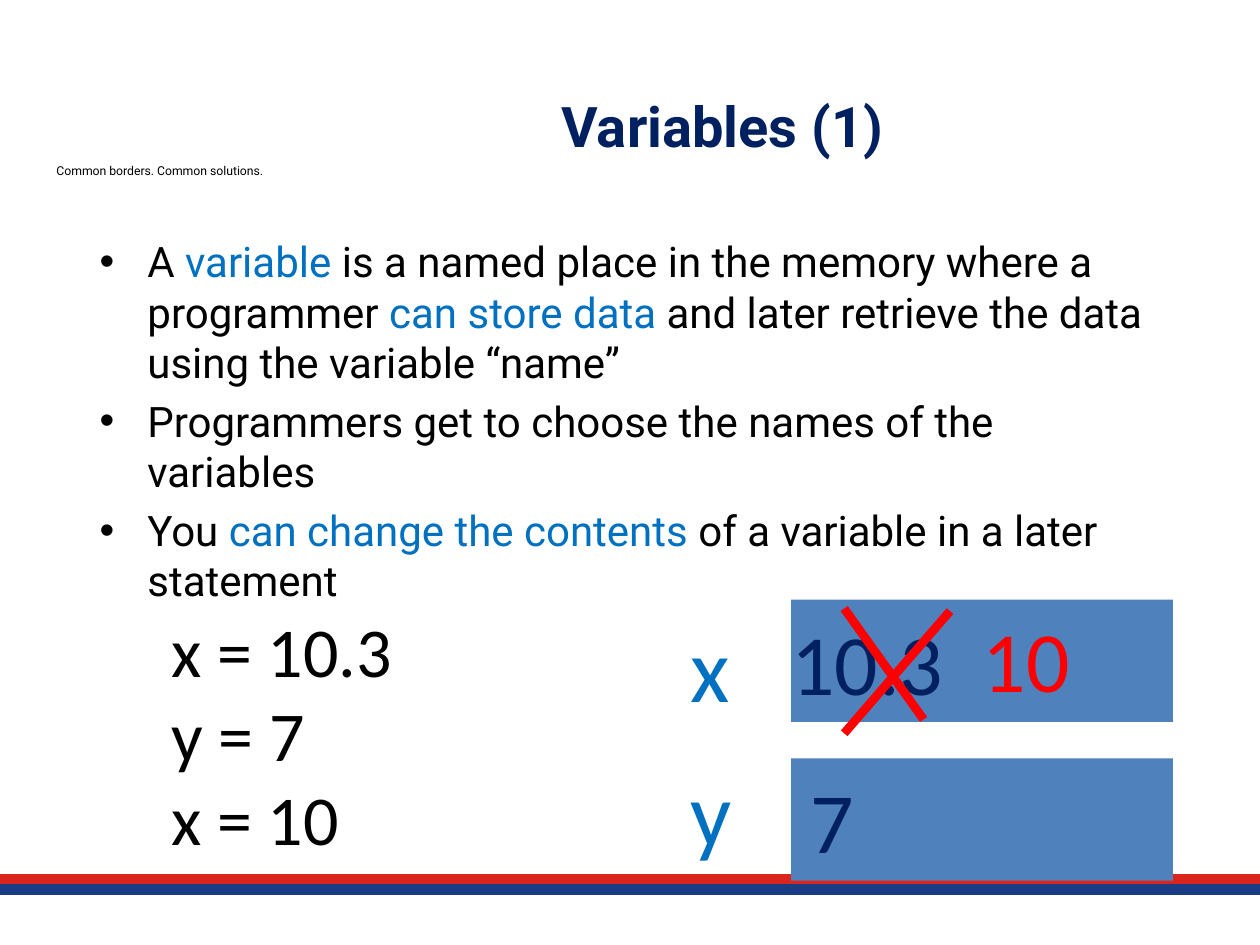
from dataclasses import dataclass

from pptx import Presentation, util as u
from pptx.dml import color
from pptx.enum import shapes, text
from pptx.oxml import ns, xmlchemy

NAVY, BLUE, BLACK, RED = "002060", "0070C0", "000000", "FF0000"
NO_INSETS = dict(margin_left=0, margin_right=0, margin_top=0, margin_bottom=0,
                 vertical_anchor=text.MSO_ANCHOR.MIDDLE)


@dataclass
class Line:
    start: tuple[float, float]
    end: tuple[float, float]
    hue: str
    width: float


@dataclass
class Label:
    lines: list[str]
    box: tuple[float, float, float, float]
    size: float
    hue: str
    font: str = "Calibri"
    wrap: bool = True
    inset: bool = False


@dataclass
class MemoryCell:
    value: str
    top: float
    indent: float


BORDERS = [Line((0, 6.98), (10, 6.98), "DA251D", 6),
           Line((0, 7.06), (10, 7.06), "193C85", 6)]
CROSS = [Line((7.54, 4.85), (6.7, 5.82), RED, 5),
         Line((6.7, 4.83), (7.33, 5.71), RED, 5)]
TAGLINE = Label(["Common borders. Common solutions."], (0.35, 1.25, 2.13, 0.22),
                7, BLACK, "Roboto", inset=True)
NAMES = [Label(["x"], (5.48, 4.85, 0.32, 0.88), 52, BLUE),
         Label(["y"], (5.48, 5.99, 0.29, 0.88), 52, BLUE)]
CODE = Label(["x = 10.3", "y = 7", "x = 10"], (1.36, 4.81, 1.77, 2.02),
             40, BLACK, wrap=False)
NEW_VALUE = Label(["10"], (7.8, 4.81, 0.7, 0.82), 49, RED, wrap=False)
CELLS = [MemoryCell("10.3", 4.76, 0), MemoryCell("7", 6.02, 0.15)]
BULLETS = [
    [("A ", BLACK), ("variable", BLUE),
     (" is a named place in the memory where a programmer ", BLACK),
     ("can store data ", BLUE),
     ("and later retrieve the data using the variable “name”", BLACK)],
    [("Programmers get to choose the names of the variables", BLACK)],
    [("You ", BLACK), ("can change the contents ", BLUE),
     ("of a variable in a later statement", BLACK)],
]


def rgb(value: str) -> color.RGBColor:
    return color.RGBColor.from_string(value)


def apply(target, values: dict) -> None:
    for name, value in values.items():
        setattr(target, name, value)


def place(s, box: tuple) -> None:
    names = ("left", "top", "width", "height")
    apply(s, dict(zip(names, map(u.Inches, box))))


def add_run(p, words: str, size: float, hue: str, font: str, bold: bool = False) -> None:
    r = p.add_run()
    r.text = words
    apply(r.font, dict(size=u.Pt(size), name=font, bold=bold))
    r.font.color.rgb = rgb(hue)


def add_line(s, line: Line) -> None:
    ends = map(u.Inches, line.start + line.end)
    c = s.shapes.add_connector(shapes.MSO_CONNECTOR.STRAIGHT, *ends)
    c.line.color.rgb = rgb(line.hue)
    c.line.width = u.Pt(line.width)
    c._element.spPr.append(xmlchemy.OxmlElement("a:effectLst"))


def add_label(s, label: Label) -> None:
    sp = s.shapes.add_textbox(*map(u.Inches, label.box))
    tf = sp.text_frame
    apply(tf, dict(word_wrap=label.wrap, auto_size=text.MSO_AUTO_SIZE.SHAPE_TO_FIT_TEXT))
    if not label.inset:
        apply(tf, NO_INSETS)
    for i, words in enumerate(label.lines):
        p = tf.add_paragraph() if i else tf.paragraphs[0]
        add_run(p, words, label.size, label.hue, label.font)


def add_cell(s, cell: MemoryCell) -> None:
    box = map(u.Inches, (6.28, cell.top, 3.03, 0.97))
    sp = s.shapes.add_shape(shapes.MSO_SHAPE.RECTANGLE, *box)
    sp.shadow.inherit = False
    sp.fill.solid()
    sp.fill.fore_color.rgb = rgb("4F81BD")
    sp.line.fill.background()
    apply(sp.text_frame, NO_INSETS | dict(margin_left=u.Inches(cell.indent), word_wrap=True))
    p = sp.text_frame.paragraphs[0]
    p.alignment = text.PP_ALIGN.LEFT
    add_run(p, cell.value, 49, NAVY, "Calibri")


def add_bullets(sp) -> None:
    tf = sp.text_frame
    tf.auto_size = text.MSO_AUTO_SIZE.NONE
    for i, parts in enumerate(BULLETS):
        p = tf.add_paragraph() if i else tf.paragraphs[0]
        pPr = p._p.get_or_add_pPr()
        pPr.set("marL", str(u.Inches(0.38)))
        pPr.set("indent", str(-u.Inches(0.38)))
        bullet = xmlchemy.OxmlElement("a:buChar")
        bullet.set("char", "•")
        pPr.append(bullet)
        for words, hue in parts:
            add_run(p, words, 24, hue, "Roboto")


def main() -> None:
    prs = Presentation()
    apply(prs, dict(slide_width=u.Inches(10), slide_height=u.Inches(7.5)))
    s = prs.slides.add_slide(prs.slide_layouts[1])
    title, body = s.shapes.title, s.placeholders[1]
    for line in BORDERS:
        add_line(s, line)
    add_label(s, TAGLINE)

    place(body, (0.69, 1.82, 8.62, 2.98))
    add_bullets(body)
    place(title, (2.19, 0.45, 7.09, 1.09))
    title.text_frame.vertical_anchor = text.MSO_ANCHOR.MIDDLE
    p = title.text_frame.paragraphs[0]
    p.alignment = text.PP_ALIGN.CENTER
    add_run(p, "Variables (1)", 32, NAVY, "Roboto", True)

    for cell, name in zip(CELLS, NAMES):
        add_cell(s, cell)
        add_label(s, name)
    for line in CROSS:
        add_line(s, line)
    for label in (CODE, NEW_VALUE):
        add_label(s, label)
    prs.save("out.pptx")


if __name__ == "__main__":
    main()
